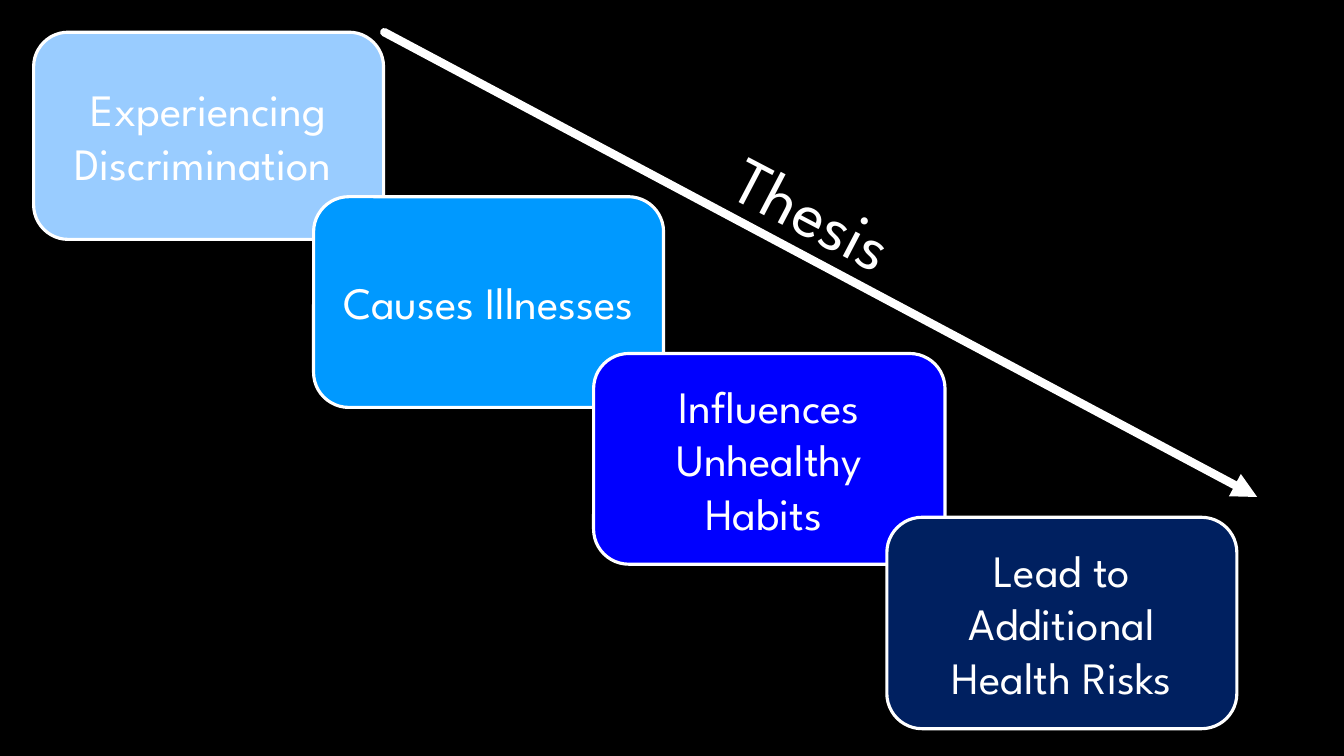
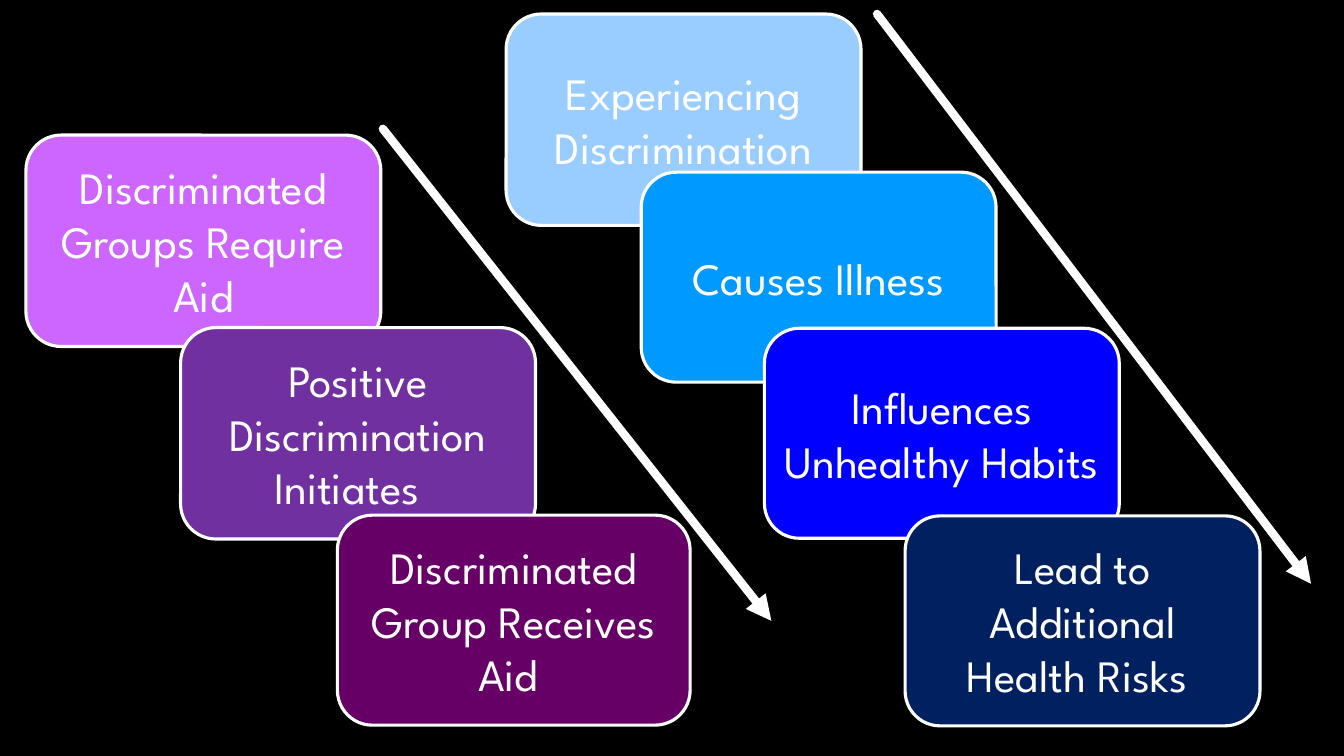
from dataclasses import dataclass

from lxml.etree import SubElement as Sub
from pptx import Presentation as Deck
from pptx.dml.color import RGBColor as Rgb
from pptx.enum.shapes import MSO_CONNECTOR as Link, MSO_SHAPE as Form
from pptx.enum.text import MSO_ANCHOR as Anchor, MSO_AUTO_SIZE as Fit, PP_ALIGN as Align
from pptx.oxml.ns import qn
from pptx.util import Pt


@dataclass(frozen=True)
class Theme:
    font: str = "League Spartan"
    back: str = "000000"
    ink: str = "FFFFFF"
    sky: str = "99CCFF"
    azure: str = "0099FF"
    blue: str = "0000FF"
    navy: str = "002060"
    lilac: str = "CC66FF"
    purple: str = "7030A0"
    plum: str = "660066"
    body: int = 32
    head: int = 48
    edge: float = 2.25
    arrow: int = 6


def apply(target, style):
    for name, value in style.items():
        setattr(target, name, value)


class Board:
    def __init__(self, theme):
        self.theme = theme
        self.deck = Deck()
        apply(self.deck, {"slide_width": Pt(960), "slide_height": Pt(540)})
        self.slide = None

    def page(self):
        self.slide = self.deck.slides.add_slide(self.deck.slide_layouts[6])
        self.paint(self.slide.background.fill, self.theme.back)

    def paint(self, fill, color):
        fill.solid()
        fill.fore_color.rgb = Rgb.from_string(color)

    def stroke(self, line, width):
        self.paint(line.fill, self.theme.ink)
        line.width = Pt(width)

    def letter(self, shape, text, size, align, frame):
        apply(shape.text_frame, frame)
        para = shape.text_frame.paragraphs[0]
        para.alignment = align
        run = para.add_run()
        run.text = text
        apply(run.font, {"name": self.theme.font, "size": Pt(size)})
        run.font.color.rgb = Rgb.from_string(self.theme.ink)

    def card(self, text, color, *place):
        shape = self.slide.shapes.add_shape(Form.ROUNDED_RECTANGLE, *map(Pt, place))
        shape.shadow.inherit = False
        self.paint(shape.fill, color)
        self.stroke(shape.line, self.theme.edge)
        frame = {"word_wrap": True, "vertical_anchor": Anchor.MIDDLE}
        self.letter(shape, text, self.theme.body, Align.CENTER, frame)

    def stack(self, cards):
        for card in cards:
            self.card(*card)

    def arrow(self, *ends):
        link = self.slide.shapes.add_connector(Link.STRAIGHT, *map(Pt, ends))
        self.stroke(link.line, self.theme.arrow)
        props = link._element.spPr.find(qn("a:ln"))
        props.set("cap", "rnd")
        Sub(props, qn("a:tailEnd"), type="triangle")
        Sub(link._element.spPr, qn("a:effectLst"))

    def label(self, text, turn, *place):
        box = self.slide.shapes.add_textbox(*map(Pt, place))
        box.rotation = turn
        frame = {"word_wrap": False, "auto_size": Fit.SHAPE_TO_FIT_TEXT}
        self.letter(box, text, self.theme.head, Align.LEFT, frame)


def thesis(board):
    hue = board.theme
    board.page()
    board.stack([
        ("Experiencing Discrimination ", hue.sky, 24, 23, 250, 148),
        ("Causes Illnesses", hue.azure, 224, 140.5, 250, 150.5),
        ("Influences Unhealthy Habits ", hue.blue, 424, 252.5, 251, 150.5),
        ("Lead to Additional Health Risks", hue.navy, 633.5, 369.5, 250, 151),
    ])
    board.arrow(274.5, 23, 898, 355)
    board.label("Thesis", 27.7, 514, 121, 144, 65.5)


def chains(board):
    hue = board.theme
    wide, high = 253.5, 150
    board.page()
    board.stack([
        ("Experiencing Discrimination", hue.sky, 361.5, 10, wide, 151),
        ("Causes Illness", hue.azure, 458, 123, wide, high),
        ("Influences Unhealthy Habits ", hue.blue, 546, 234.5, wide, high),
        ("Lead to Additional Health Risks ", hue.navy, 646.5, 368.5, wide, high),
        ("Discriminated Groups Require Aid", hue.lilac, 18.5, 96.5, wide, 151),
        ("Positive Discrimination Initiates  ", hue.purple, 129, 234, wide, 151),
        ("Discriminated Group Receives Aid ", hue.plum, 241, 368, 252, high),
    ])
    board.arrow(273.5, 92, 551, 443.5)
    board.arrow(626.5, 10, 936.5, 417)


def main():
    board = Board(Theme())
    thesis(board)
    chains(board)
    board.deck.save("out.pptx")


if __name__ == "__main__":
    main()
